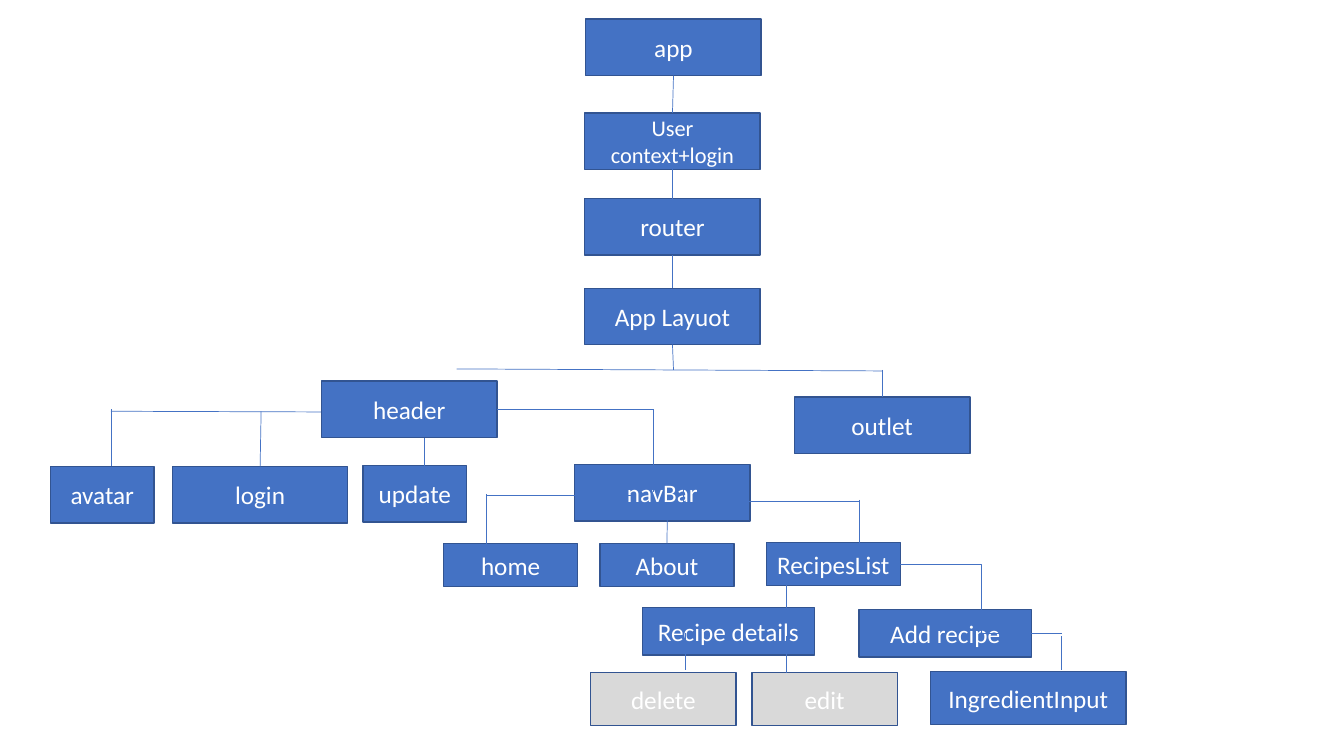
from typing import NamedTuple

from lxml import etree
from pptx import Presentation
from pptx.dml.color import RGBColor
from pptx.enum.shapes import MSO_CONNECTOR, MSO_SHAPE
from pptx.enum.text import MSO_ANCHOR, PP_ALIGN
from pptx.oxml.ns import qn
from pptx.util import Pt

RECT = MSO_SHAPE.RECTANGLE
LINE, BENT = MSO_CONNECTOR.STRAIGHT, MSO_CONNECTOR.ELBOW
CENTER, MIDDLE = PP_ALIGN.CENTER, MSO_ANCHOR.MIDDLE
TOP, LEFT, BOTTOM, RIGHT = range(4)

PX = 9144  # EMU per px, 100 px to the inch
FONT = "Calibri"
BLUE, EDGE, GREY, WHITE = "4472C4", "325491", "D9D9D9", "FFFFFF"


class Box(NamedTuple):
    text: str
    x: int
    y: int
    w: int = 174
    h: int = 56
    fill: str = BLUE
    size: int = 18


class Link(NamedTuple):
    x1: int
    y1: int
    x2: int
    y2: int
    begin: tuple = ()  # (box text, side)
    end: tuple = ()
    kind: MSO_CONNECTOR = LINE


# Long rails, which lie behind the boxes
RAILS = [
    Link(453, 366, 875, 368),
    Link(412, 409, 110, 408),
]

BOXES = [
    Box("app", 581, 19),
    Box("User context+login", 580, 112, size=16),
    Box("router", 580, 197),
    Box("App Layuot", 580, 286),
    Box("header", 319, 378),
    Box("outlet", 788, 394),
    Box("avatar", 50, 463, 103),
    Box("login", 171, 463),
    Box("update", 360, 462, 103),
    Box("navBar", 570, 461),
    Box("home", 440, 539, 133, 43),
    Box("About", 595, 539, 133, 43),
    Box("RecipesList", 760, 538, 133, 43),
    Box("Recipe details", 637, 603, 171, 47),
    Box("Add recipe", 852, 605, 171, 47),
    Box("delete", 586, 667, 144, 53, GREY),
    Box("edit", 746, 667, 144, 53, GREY),
    Box("IngredientInput", 923, 666, 194, 53),
]

LINKS = [
    # Trunk
    Link(668, 75, 668, 112, ("app", BOTTOM), ("User context+login", TOP)),
    Link(668, 168, 667, 197, ("User context+login", BOTTOM), ("router", TOP)),
    Link(667, 253, 667, 286, ("router", BOTTOM), ("App Layuot", TOP)),
    Link(668, 341, 668, 367, ("App Layuot", BOTTOM)),
    Link(875, 367, 875, 394, (), ("outlet", TOP)),
    # Header branch
    Link(110, 406, 110, 462),
    Link(259, 408, 258, 463, (), ("login", TOP)),
    Link(421, 435, 421, 474),
    Link(648, 406, 493, 406, (), ("header", RIGHT)),
    Link(648, 406, 648, 488),
    # Navigation branch
    Link(678, 470, 678, 503),
    Link(628, 491, 482, 491),
    Link(482, 490, 482, 558),
    Link(662, 505, 662, 539, (), ("About", TOP)),
    Link(852, 497, 707, 497),
    Link(852, 496, 852, 564),
    # Recipe branch
    Link(780, 580, 780, 617),
    Link(780, 631, 780, 668),
    Link(680, 628, 680, 665),
    Link(893, 559, 1053, 628, ("RecipesList", RIGHT), (), BENT),
    Link(1053, 631, 1053, 665),
]


def color(code: str) -> RGBColor:
    return RGBColor.from_string(code)


def draw_box(slide, box: Box):
    shape = slide.shapes.add_shape(
        RECT, box.x * PX, box.y * PX, box.w * PX, box.h * PX)
    shape.shadow.inherit = False
    shape.fill.solid()
    shape.fill.fore_color.rgb = color(box.fill)
    shape.line.color.rgb = color(EDGE)
    shape.line.width = Pt(1)
    frame = shape.text_frame
    frame.word_wrap = True
    frame.vertical_anchor = MIDDLE
    frame.text = box.text
    para = frame.paragraphs[0]
    para.alignment = CENTER
    font = para.runs[0].font
    font.name, font.size = FONT, Pt(box.size)
    font.color.rgb = color(WHITE)
    return shape


def draw_link(slide, link: Link, shapes: dict) -> None:
    line = slide.shapes.add_connector(
        link.kind, link.x1 * PX, link.y1 * PX, link.x2 * PX, link.y2 * PX)
    if link.begin:
        name, side = link.begin
        line.begin_connect(shapes[name], side)
    if link.end:
        name, side = link.end
        line.end_connect(shapes[name], side)
    line.line.color.rgb = color(BLUE)
    line.line.width = Pt(0.5)
    etree.SubElement(line._element.spPr, qn("a:effectLst"))


def main() -> None:
    deck = Presentation()
    deck.slide_width, deck.slide_height = 1333 * PX, 750 * PX
    slide = deck.slides.add_slide(deck.slide_layouts[6])
    for rail in RAILS:
        draw_link(slide, rail, {})
    shapes = {box.text: draw_box(slide, box) for box in BOXES}
    for link in LINKS:
        draw_link(slide, link, shapes)
    deck.save("out.pptx")


if __name__ == "__main__":
    main()
